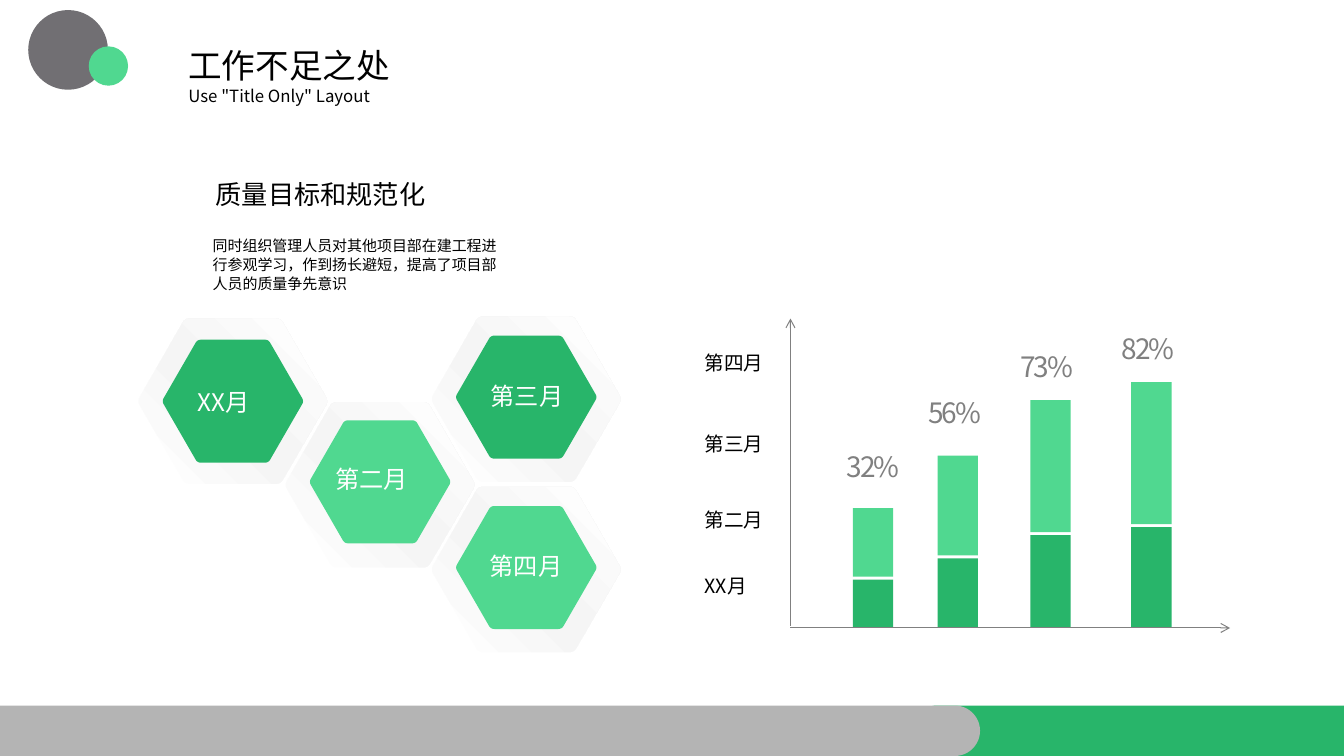
"""Build the slide on shortcomings at work, with month hexagons and stacked bars."""
from copy import deepcopy
from dataclasses import dataclass
from math import cos, pi, sin, sqrt

from lxml.etree import SubElement
from pptx import Presentation
from pptx.dml.color import RGBColor
from pptx.enum.shapes import MSO_CONNECTOR, MSO_SHAPE
from pptx.enum.text import MSO_ANCHOR, MSO_AUTO_SIZE
from pptx.oxml.ns import qn
from pptx.util import Emu, Pt

STRAIGHT = MSO_CONNECTOR.STRAIGHT
RECTANGLE = MSO_SHAPE.RECTANGLE
PILL = MSO_SHAPE.ROUNDED_RECTANGLE
CIRCLE = MSO_SHAPE.FLOWCHART_CONNECTOR
MIDDLE = MSO_ANCHOR.MIDDLE
FIT_TEXT = MSO_AUTO_SIZE.SHAPE_TO_FIT_TEXT

PX = 9144
FONT = "Noto Sans CJK SC"
BLACK = RGBColor(0x00, 0x00, 0x00)
WHITE = RGBColor(0xFF, 0xFF, 0xFF)
PALE = RGBColor(0xF5, 0xF5, 0xF5)
GREEN = RGBColor(0x28, 0xB5, 0x6A)
MINT = RGBColor(0x50, 0xD8, 0x90)
SILVER = RGBColor(0xB4, 0xB4, 0xB4)
SLATE = RGBColor(0x71, 0x6F, 0x73)
GREY = RGBColor(0x80, 0x80, 0x80)

SHEEN = ((0, WHITE), (0.47, PALE), (1, WHITE))
CORNER_TRIM = 0.05
CORNER_STEPS = 6
BASELINE = 623
BAR_WIDTH = 40
BAR_GAP = 3


@dataclass(frozen=True)
class Block:
    """A filled preset shape."""
    kind: MSO_SHAPE
    left: int
    top: int
    width: int
    height: int
    color: RGBColor


@dataclass(frozen=True)
class Month:
    """A framed hexagon with its label."""
    name: str
    center_x: int
    frame_y: int
    core_y: int
    color: RGBColor
    label_left: int
    label_top: int


@dataclass(frozen=True)
class Bar:
    """A two-part bar with its percentage."""
    percent: str
    left: int
    lower: int
    upper: int
    label_left: int
    label_top: int


DECORATIONS = (
    Block(PILL, 904, 700, 478, 50, GREEN),
    Block(PILL, -46, 700, 1018, 50, SILVER),
    Block(CIRCLE, 28, 10, 79, 79, SLATE),
    Block(CIRCLE, 88, 46, 39, 39, MINT),
)
MONTHS = (
    Month("XX月", 231, 398, 398, GREEN, 186, 379),
    Month("第二月", 377, 481, 478, MINT, 323, 455),
    Month("第三月", 522, 396, 394, GREEN, 477, 373),
    Month("第四月", 522, 565, 563, MINT, 476, 542),
)
BARS = (
    Bar("32%", 846, 48, 68, 830, 441),
    Bar("56%", 930, 69, 99, 911, 387),
    Bar("73%", 1022, 92, 131, 1002, 341),
    Bar("82%", 1122, 100, 141, 1103, 324),
)
AXIS_LABELS = (("第四月", 341), ("第三月", 422), ("第二月", 497), ("XX月", 563))
AXES = ((784, 623, 1220, 623), (784, 621, 784, 316))


def px(length: float) -> Emu:
    """Turn px into EMU."""
    return Emu(round(length * PX))


def add_text(page, text: str, left: int, top: int, width: int, height: int, *,
             size: float, color: RGBColor = BLACK, inset_x: int = 10, inset_y: int = 5,
             line_spacing: float = 1.0, tracking: int = 0) -> None:
    """Add one paragraph in a text box."""
    box = page.shapes.add_textbox(px(left), px(top), px(width), px(height))
    frame = box.text_frame
    frame.word_wrap = True
    frame.auto_size = FIT_TEXT
    frame.vertical_anchor = MIDDLE
    frame.margin_left = frame.margin_right = px(inset_x)
    frame.margin_top = frame.margin_bottom = px(inset_y)
    para = frame.paragraphs[0]
    para.line_spacing = line_spacing
    span = para.add_run()
    span.text = text
    span.font.size = Pt(size)
    span.font.color.rgb = color
    span.font.name = FONT
    properties = span.font._element
    SubElement(properties, qn("a:ea")).set("typeface", FONT)
    if tracking:
        properties.set("spc", str(tracking))


def add_block(page, block: Block) -> None:
    """Add a plain filled shape."""
    shape = page.shapes.add_shape(block.kind, px(block.left), px(block.top),
                                  px(block.width), px(block.height))
    if block.kind == PILL:
        shape.adjustments[0] = 0.5
    shape.shadow.inherit = False
    shape.fill.solid()
    shape.fill.fore_color.rgb = block.color
    shape.line.fill.background()


def hexagon_points(center_x: int, center_y: int, height: int) -> list[tuple[int, int]]:
    """Return the outline of a regular hexagon with rounded corners."""
    radius = height / sqrt(3)
    corners = [(center_x + radius * cos(k * pi / 3), center_y + radius * sin(k * pi / 3))
               for k in range(6)]
    points = []
    for k, corner in enumerate(corners):
        start, end = ([c + CORNER_TRIM * (n - c) for c, n in zip(corner, neighbour)]
                      for neighbour in (corners[k - 1], corners[(k + 1) % 6]))
        for step in range(CORNER_STEPS + 1):
            t = step / CORNER_STEPS
            x, y = ((1 - t) ** 2 * a + 2 * t * (1 - t) * c + t ** 2 * b
                    for a, c, b in zip(start, corner, end))
            points.append((px(x), px(y)))
    return points


def add_hexagon(page, center_x: int, center_y: int, height: int,
                color: RGBColor | None = None) -> None:
    """Add a rounded hexagon, with a pale sheen if it has no colour."""
    points = hexagon_points(center_x, center_y, height)
    builder = page.shapes.build_freeform(*points[0])
    builder.add_line_segments(points[1:], close=True)
    shape = builder.convert_to_shape()
    shape.shadow.inherit = False
    shape.line.fill.background()
    if color is not None:
        shape.fill.solid()
        shape.fill.fore_color.rgb = color
        return
    shape.fill.gradient()
    shape.fill.gradient_angle = 45
    stop_list = shape._element.spPr.find(qn("a:gradFill")).find(qn("a:gsLst"))
    stop_list.append(deepcopy(stop_list[0]))
    for stop, (position, tint) in zip(shape.fill.gradient_stops, SHEEN):
        stop.position = position
        stop.color.rgb = tint


def add_month(page, month: Month) -> None:
    """Add the frame, core and label of a month."""
    add_hexagon(page, month.center_x, month.frame_y, 166, WHITE)
    add_hexagon(page, month.center_x, month.frame_y, 164)
    add_hexagon(page, month.center_x, month.core_y, 122, month.color)
    add_text(page, month.name, month.label_left, month.label_top, 116, 39,
             size=17.3, color=WHITE)


def add_bar(page, bar: Bar) -> None:
    """Add both parts of a bar and its percentage."""
    lower_top = BASELINE - bar.lower
    upper_top = lower_top - BAR_GAP - bar.upper
    add_block(page, Block(RECTANGLE, bar.left, lower_top, BAR_WIDTH, bar.lower, GREEN))
    add_block(page, Block(RECTANGLE, bar.left, upper_top, BAR_WIDTH, bar.upper, MINT))
    add_text(page, bar.percent, bar.label_left, bar.label_top, 73, 44,
             size=20, color=GREY, tracking=-150)


def add_axis(page, start_x: int, start_y: int, end_x: int, end_y: int) -> None:
    """Add a thin axis with an arrowhead."""
    axis = page.shapes.add_connector(STRAIGHT, px(start_x), px(start_y), px(end_x), px(end_y))
    axis.line.color.rgb = GREY
    axis.line.width = Pt(0.75)
    SubElement(axis.line._get_or_add_ln(), qn("a:tailEnd")).set("type", "arrow")
    SubElement(axis._element.spPr, qn("a:effectLst"))


def main() -> None:
    """Build and save the deck."""
    deck = Presentation()
    deck.slide_width, deck.slide_height = px(1333), px(750)
    page = deck.slides.add_slide(deck.slide_layouts[6])
    for block in DECORATIONS:
        add_block(page, block)
    for bar in BARS:
        add_bar(page, bar)
    for month in MONTHS:
        add_month(page, month)
    for axis in AXES:
        add_axis(page, *axis)
    for name, top in AXIS_LABELS:
        add_text(page, name, 686, top, 97, 37, size=14, inset_x=13, inset_y=7)
    add_text(page, "同时组织管理人员对其他项目部在建工程进行参观学习，作到扬长避短，提高了项目部人员的质量争先意识",
             198, 220, 319, 83, size=10.7, inset_x=13, inset_y=7, line_spacing=1.06)
    add_text(page, "质量目标和规范化", 201, 166, 347, 47, size=18.7, inset_x=13, inset_y=0,
             line_spacing=1.22)
    add_text(page, "工作不足之处", 177, 40, 390, 50, size=24)
    add_text(page, 'Use "Title Only" Layout', 177, 80, 390, 30, size=12)


    deck.save("out.pptx")


if __name__ == "__main__":
    main()
